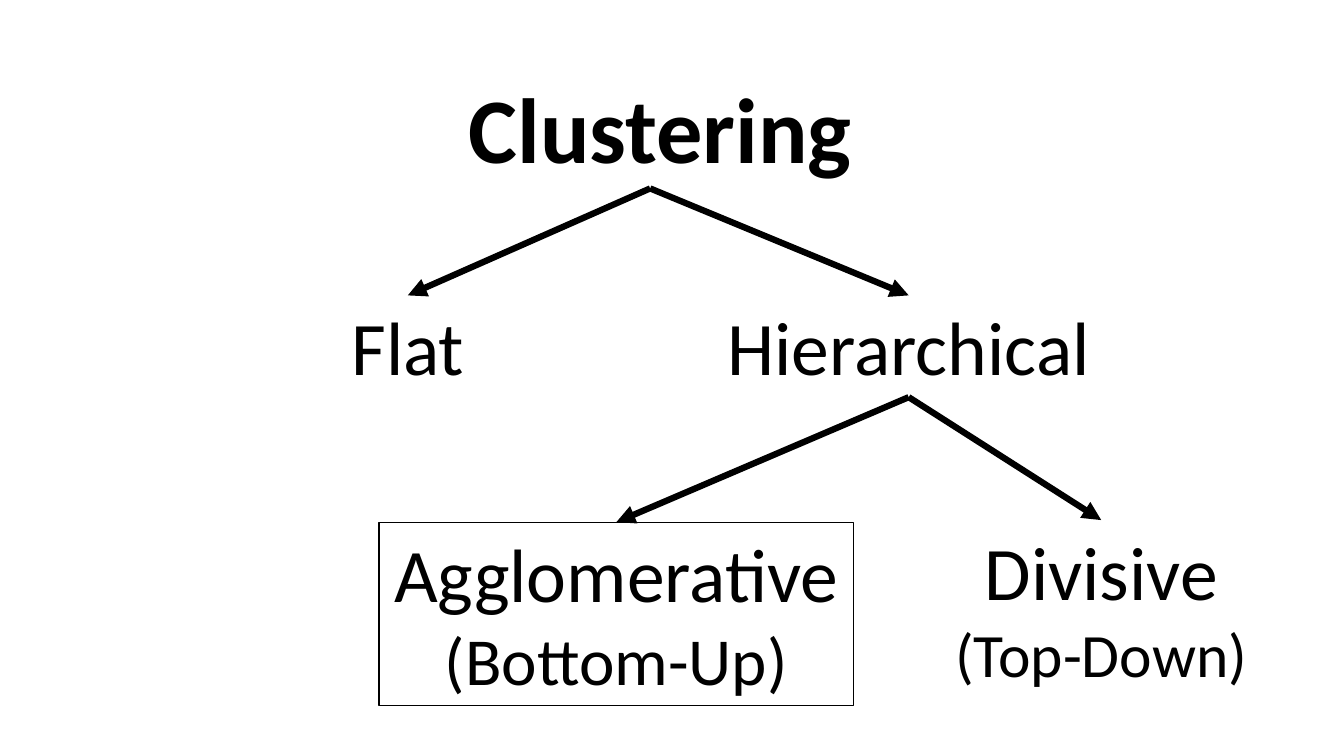
"""Draw a tree of clustering methods on one slide."""
from dataclasses import dataclass

from lxml.etree import SubElement as Sub
from pptx import Presentation
from pptx.dml.color import RGBColor as Color
from pptx.enum.shapes import MSO_CONNECTOR as Link, MSO_SHAPE as Form
from pptx.enum.text import MSO_ANCHOR as Anchor, PP_ALIGN as Align
from pptx.oxml.ns import qn
from pptx.util import Pt


@dataclass(frozen=True)
class Theme:
    font: str = "Calibri"
    ink: Color = Color(0, 0, 0)
    paper: Color = Color(255, 255, 255)
    title: int = 66
    label: int = 54
    boxed: int = 48
    note: int = 44
    arrow: float = 4.5
    border: float = 1


@dataclass(frozen=True)
class Node:
    left: float
    top: float
    width: float
    height: float
    lines: tuple[tuple[str, int], ...]
    bold: bool = False
    framed: bool = False
    anchor: Anchor = Anchor.TOP
    spacing: float = 1.0

    @property
    def mid(self) -> float:
        return self.left + self.width / 2

    @property
    def base(self) -> float:
        return self.top + self.height


@dataclass(frozen=True)
class Fork:
    parent: Node
    children: tuple[Node, ...]
    shift: float = 0


THEME = Theme()
ROOT = Node(111.6, 18, 720, 116.6, (("Clustering", THEME.title),),
            bold=True, anchor=Anchor.BOTTOM, spacing=0.9)
FLAT = Node(243.4, 211, 95.8, 72.7, (("Flat", THEME.label),))
TIERED = Node(511.2, 211, 275.8, 72.7, (("Hierarchical", THEME.label),))
MERGE = Node(270.7, 373, 339.1, 131,
             (("Agglomerative", THEME.label), ("(Bottom-Up)", THEME.boxed)),
             framed=True)
SPLIT = Node(673.9, 371.5, 225.4, 126,
             (("Divisive", THEME.label), ("(Top-Down)", THEME.note)))
NODES = (ROOT, FLAT, TIERED, MERGE, SPLIT)
FORKS = (Fork(ROOT, (FLAT, TIERED), shift=-7.2), Fork(TIERED, (SPLIT, MERGE)))


def draw_node(shapes, node: Node) -> None:
    """Draw one method name, with a frame if it has one."""
    place = [Pt(n) for n in (node.left, node.top, node.width, node.height)]
    if node.framed:
        box = shapes.add_shape(Form.RECTANGLE, *place)
        box.shadow.inherit = False
        box.fill.solid()
        box.fill.fore_color.rgb = THEME.paper
        box.line.color.rgb = THEME.ink
        box.line.width = Pt(THEME.border)
    else:
        box = shapes.add_textbox(*place)
    frame = box.text_frame
    frame.word_wrap = False
    frame.vertical_anchor = node.anchor
    frame.text = "\n".join(text for text, _ in node.lines)
    for para, (_, size) in zip(frame.paragraphs, node.lines):
        para.alignment = Align.CENTER
        para.line_spacing = node.spacing
        para.font.name = THEME.font
        para.font.size = Pt(size)
        para.font.bold = node.bold
        para.font.color.rgb = THEME.ink


def draw_fork(shapes, fork: Fork) -> None:
    """Draw an arrow from the parent to each child."""
    for child in fork.children:
        line = shapes.add_connector(
            Link.STRAIGHT, Pt(fork.parent.mid + fork.shift),
            Pt(fork.parent.base), Pt(child.mid), Pt(child.top))
        line.line.color.rgb = THEME.ink
        line.line.width = Pt(THEME.arrow)
        Sub(line.line._get_or_add_ln(), qn("a:tailEnd"), type="triangle")
        Sub(line._element.spPr, qn("a:effectLst"))


def main() -> None:
    """Build the slide and save it."""
    deck = Presentation()
    deck.slide_width, deck.slide_height = Pt(960), Pt(540)
    shapes = deck.slides.add_slide(deck.slide_layouts[6]).shapes
    for node in NODES:
        draw_node(shapes, node)
    for fork in FORKS:
        draw_fork(shapes, fork)
    deck.save("out.pptx")


main()
